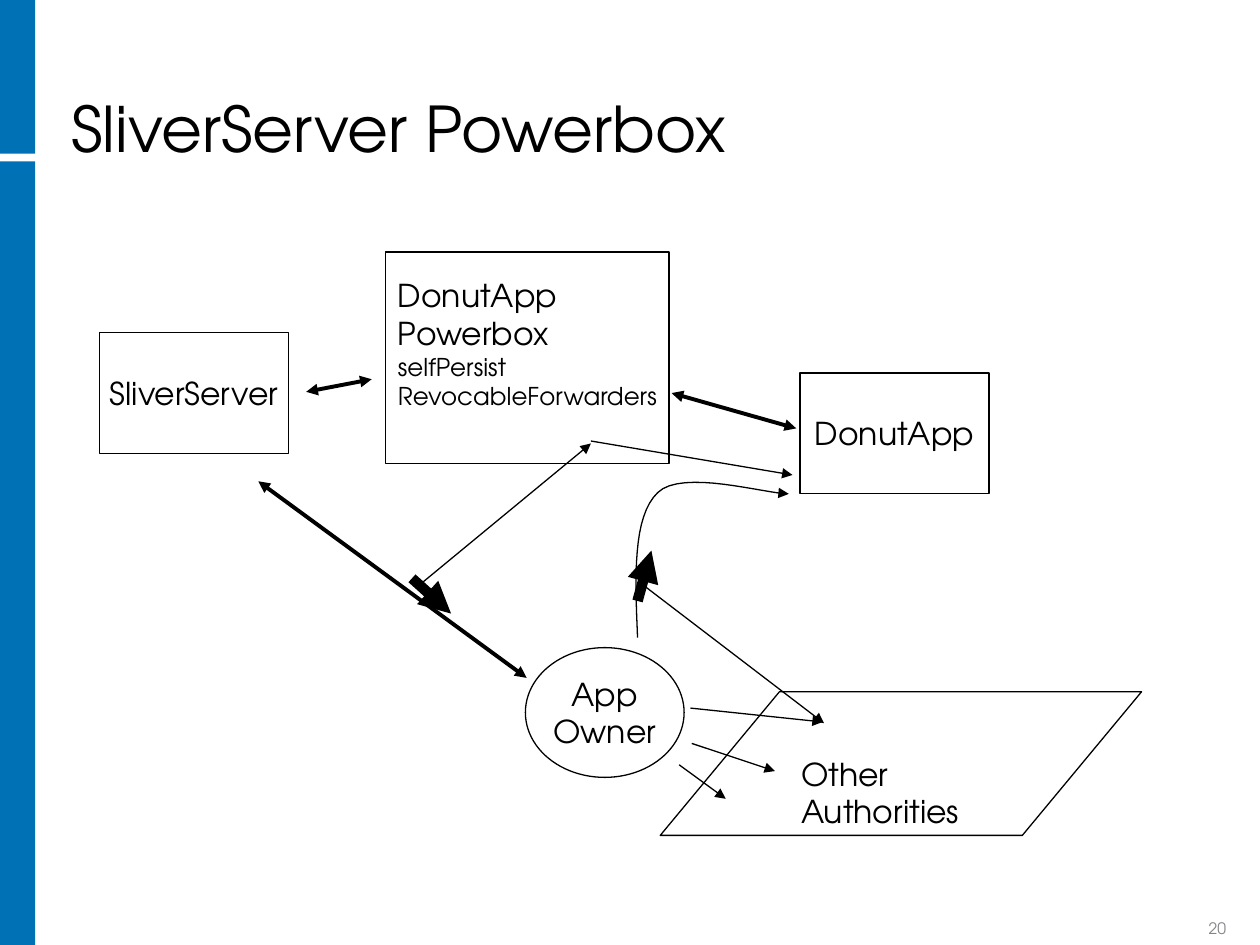
from lxml.etree import SubElement
from pptx import Presentation
from pptx.dml.color import RGBColor
from pptx.enum.shapes import MSO_CONNECTOR, MSO_SHAPE
from pptx.enum.text import MSO_ANCHOR, PP_ALIGN
from pptx.oxml.ns import qn
from pptx.util import Emu, Pt

BLACK = RGBColor(0x00, 0x00, 0x00)
BLUE = RGBColor(0x00, 0x71, 0xB4)
GRAY = RGBColor(0x84, 0x85, 0x89)
FONT = "TeX Gyre Adventor"
EMU_PER_PX = 9144
THIN, BOLD, HEAVY = 0.75, 2.25, 6
CURVE_STEPS = 16


def px(value):
    return Emu(round(value * EMU_PER_PX))


def write_text(shape, lines, size=18, color=BLACK, align=PP_ALIGN.LEFT,
               anchor=MSO_ANCHOR.MIDDLE, wrap=False, bottom=5,
               line_spacing=None, space_before=None):
    frame = shape.text_frame
    frame.word_wrap = wrap
    frame.vertical_anchor = anchor
    frame.margin_left = frame.margin_right = px(10)
    frame.margin_top, frame.margin_bottom = px(5), px(bottom)
    paragraph = frame.paragraphs[0]
    paragraph.alignment = align
    paragraph.line_spacing = line_spacing
    if space_before:
        paragraph.space_before = Pt(space_before)
    for index, line in enumerate(lines):
        text, line_size = line if isinstance(line, tuple) else (line, size)
        if index:
            paragraph.add_line_break()
        run = paragraph.add_run()
        run.text = text
        run.font.name = FONT
        run.font.size = Pt(line_size)
        run.font.color.rgb = color


def curve_points(start, control_1, control_2, end):
    for step in range(1, CURVE_STEPS + 1):
        t = step / CURVE_STEPS
        weights = ((1 - t) ** 3, 3 * t * (1 - t) ** 2, 3 * t * t * (1 - t), t ** 3)
        points = (start, control_1, control_2, end)
        yield tuple(px(sum(w * point[axis] for w, point in zip(weights, points)))
                    for axis in (0, 1))


class Diagram:
    def __init__(self, slide):
        self.slide = slide

    def outline(self, shape, width=THIN, head=False, tail=False):
        shape.line.color.rgb = BLACK
        shape.line.width = Pt(width)
        line = shape.element.spPr.find(qn("a:ln"))
        for wanted, tag in ((head, "a:headEnd"), (tail, "a:tailEnd")):
            if wanted:
                SubElement(line, qn(tag), type="triangle")

    def bar(self, *box):
        shape = self.slide.shapes.add_shape(MSO_SHAPE.RECTANGLE, *map(px, box))
        shape.shadow.inherit = False
        shape.fill.solid()
        shape.fill.fore_color.rgb = BLUE
        shape.line.fill.background()

    def node(self, kind, box, lines=(), **text_format):
        shape = self.slide.shapes.add_shape(kind, *map(px, box))
        shape.shadow.inherit = False
        shape.fill.background()
        self.outline(shape)
        if lines:
            write_text(shape, lines, **text_format)
        return shape

    def label(self, box, text, **text_format):
        shape = self.slide.shapes.add_textbox(*map(px, box))
        write_text(shape, [text], wrap=True, **text_format)

    def arrow(self, start, end, width=THIN, both=False):
        connector = self.slide.shapes.add_connector(
            MSO_CONNECTOR.STRAIGHT, *map(px, start + end))
        self.outline(connector, width, head=both, tail=True)
        SubElement(connector.element.spPr, qn("a:effectLst"))

    def curved_arrow(self, start, *segments):
        builder = self.slide.shapes.build_freeform(*map(px, start))
        for segment in segments:
            builder.add_line_segments(list(curve_points(start, *segment)), close=False)
            start = segment[-1]
        shape = builder.convert_to_shape()
        shape.shadow.inherit = False
        shape.fill.background()
        self.outline(shape, tail=True)


def main():
    presentation = Presentation()
    presentation.slide_width, presentation.slide_height = px(1000), px(750)
    diagram = Diagram(presentation.slides.add_slide(presentation.slide_layouts[6]))

    diagram.bar(0, 128, 28, 622)
    diagram.bar(0, 0, 28, 122)
    authorities = diagram.node(MSO_SHAPE.PARALLELOGRAM, (524, 549, 382, 114))
    authorities.adjustments[0] = 0.83
    diagram.label((47, 12, 834, 125), "SliverServer Powerbox", size=36,
                  anchor=MSO_ANCHOR.BOTTOM, line_spacing=0.9)

    diagram.node(MSO_SHAPE.RECTANGLE, (79, 264, 150, 96), ["SliverServer"],
                 align=PP_ALIGN.CENTER)
    diagram.node(MSO_SHAPE.OVAL, (417, 514, 126, 103), ["App", "Owner"],
                 align=PP_ALIGN.CENTER)
    diagram.node(MSO_SHAPE.RECTANGLE, (306, 200, 225, 168),
                 ["DonutApp", "Powerbox", ("selfPersist", 14),
                  ("RevocableForwarders", 14)], bottom=28)
    diagram.node(MSO_SHAPE.RECTANGLE, (635, 296, 150, 96), ["DonutApp"],
                 align=PP_ALIGN.CENTER)

    for start, end in (((243, 311), (295, 301)),
                       ((533, 312), (632, 340)),
                       ((205, 382), (418, 538))):
        diagram.arrow(start, end, BOLD, both=True)
    for start, end in (((327, 459), (358, 487)),
                       ((506, 477), (517, 437))):
        diagram.arrow(start, end, HEAVY)
    for start, end in (((469, 350), (629, 377)),
                       ((510, 464), (654, 574)),
                       ((549, 590), (615, 612)),
                       ((539, 607), (576, 634)),
                       ((548, 562), (653, 573)),
                       ((332, 465), (469, 352))):
        diagram.arrow(start, end)
    diagram.curved_arrow((506, 506),
                         ((504, 458), (502, 410), (522, 391)),
                         ((541, 372), (608, 392), (626, 392)))

    diagram.label((626, 594, 219, 70), "Other Authorities",
                  anchor=MSO_ANCHOR.TOP, space_before=11.2)
    diagram.label((900, 725, 83, 24), "20", size=9, color=GRAY,
                  align=PP_ALIGN.RIGHT, anchor=MSO_ANCHOR.BOTTOM)
    presentation.save("out.pptx")


if __name__ == "__main__":
    main()
